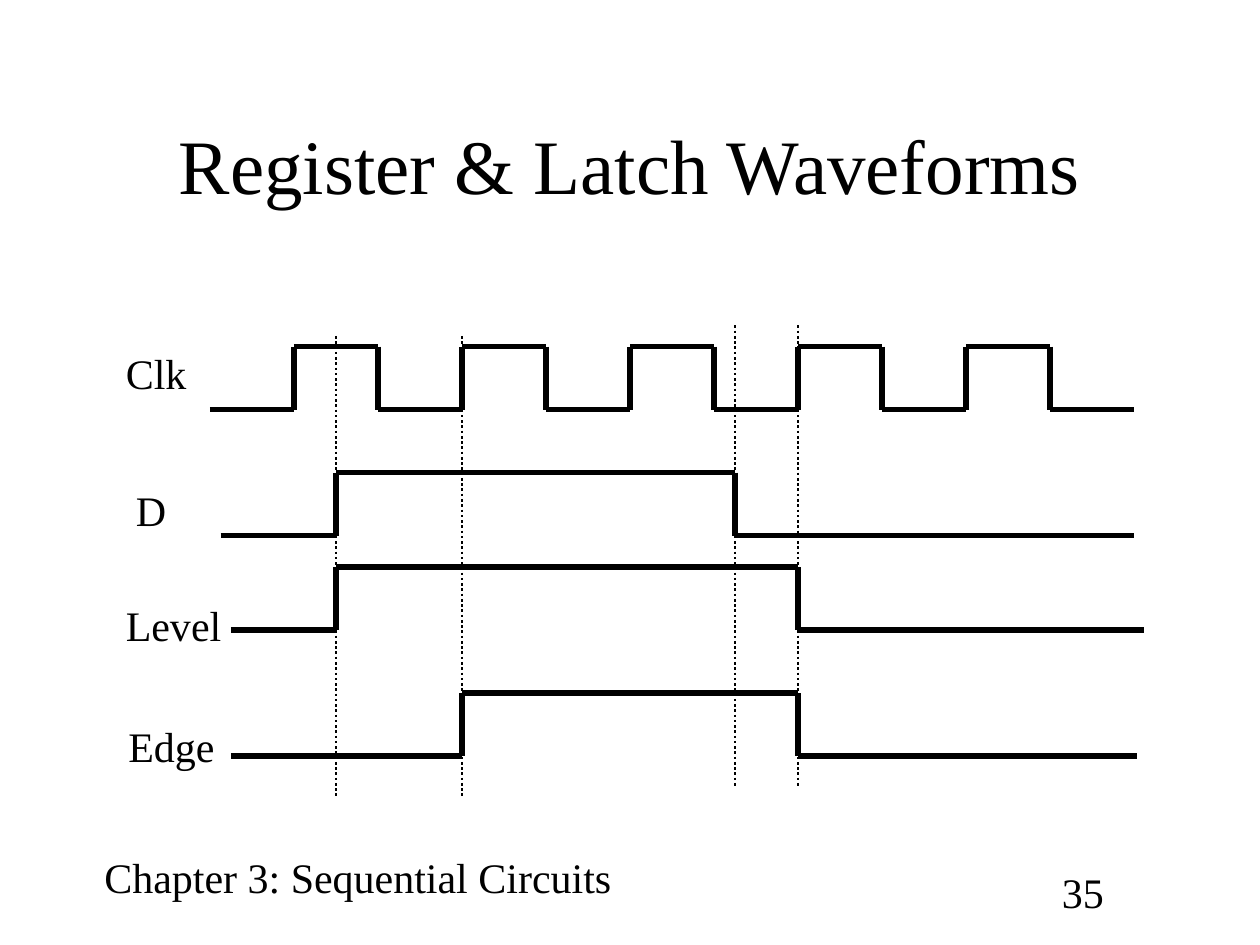
from itertools import pairwise

from lxml.etree import SubElement
from pptx import Presentation
from pptx.dml.color import RGBColor as Rgb
from pptx.enum.dml import MSO_LINE as Dash
from pptx.enum.shapes import MSO_CONNECTOR as Link
from pptx.enum.text import MSO_ANCHOR as Anchor, MSO_AUTO_SIZE as Fit
from pptx.enum.text import PP_ALIGN as Align
from pptx.oxml.ns import qn
from pptx.util import Inches, Pt

COLORS = {"ink": "000000"}
FONT = "Times New Roman"
CELL = 1 / 12  # grid step: 120 columns by 90 rows
HIGH = 6  # rows between the low and high levels


def grid(n):
    return Inches(n * CELL)


def text(slide, words, left, top, wide, high=0.5, size=24,
         align=Align.LEFT, anchor=Anchor.TOP, wrap=False):
    box = slide.shapes.add_textbox(*map(Inches, (left, top, wide, high)))
    frame = box.text_frame
    frame.word_wrap = wrap
    frame.auto_size = Fit.NONE if wrap else Fit.SHAPE_TO_FIT_TEXT
    frame.vertical_anchor = anchor
    para = frame.paragraphs[0]
    para.text = words
    para.alignment = align
    font = para.runs[0].font
    font.name, font.size = FONT, Pt(size)
    font.color.rgb = Rgb.from_string(COLORS["ink"])


def line(slide, start, end, width=3, dash=None):
    link = slide.shapes.add_connector(Link.STRAIGHT, *map(grid, start + end))
    link.line.color.rgb = Rgb.from_string(COLORS["ink"])
    link.line.width = Pt(width)
    if dash:
        link.line.dash_style = dash
    SubElement(link._element.spPr, qn("a:effectLst"))


def wave(slide, base, start, edges, end):
    """Draw a signal that starts low and toggles at each edge column."""
    points, row = [(start, base)], base
    for col in edges:
        points.append((col, row))
        row = 2 * base - HIGH - row
        points.append((col, row))
    points.append((end, row))
    for a, b in pairwise(points):
        line(slide, a, b)


def main():
    deck = Presentation()
    deck.slide_width, deck.slide_height = Inches(10), Inches(7.5)
    slide = deck.slides.add_slide(deck.slide_layouts[6])

    # Footer and title
    text(slide, "Chapter 3: Sequential Circuits", 0.73, 6.71, 4.47)
    text(slide, "35", 8.33, 6.83, 0.92, wrap=True)
    text(slide, "Register & Latch Waveforms", 0.75, 0.67, 8.5, 1.25, size=44,
         align=Align.CENTER, anchor=Anchor.MIDDLE, wrap=True)

    # Signal names
    for name, left, top, wide in [("Clk", 0.9, 2.71, 0.68),
                                  ("D", 0.98, 3.8, 0.44),
                                  ("Level", 0.9, 4.71, 0.96),
                                  ("Edge", 0.92, 5.67, 0.9)]:
        text(slide, name, left, top, wide)

    # Waveforms: low row, first column, toggles, last column
    wave(slide, 39, 20, range(28, 108, 8), 108)
    wave(slide, 51, 21, (32, 70), 108)
    wave(slide, 60, 22, (32, 76), 109)
    wave(slide, 72, 22, (44, 76), 108.25)

    # Dotted time marks
    for col, top in [(32, 32), (44, 32), (70, 31), (76, 31)]:
        line(slide, (col, top), (col, top + 44), 1.5, Dash.ROUND_DOT)

    deck.save("out.pptx")


if __name__ == "__main__":
    main()
